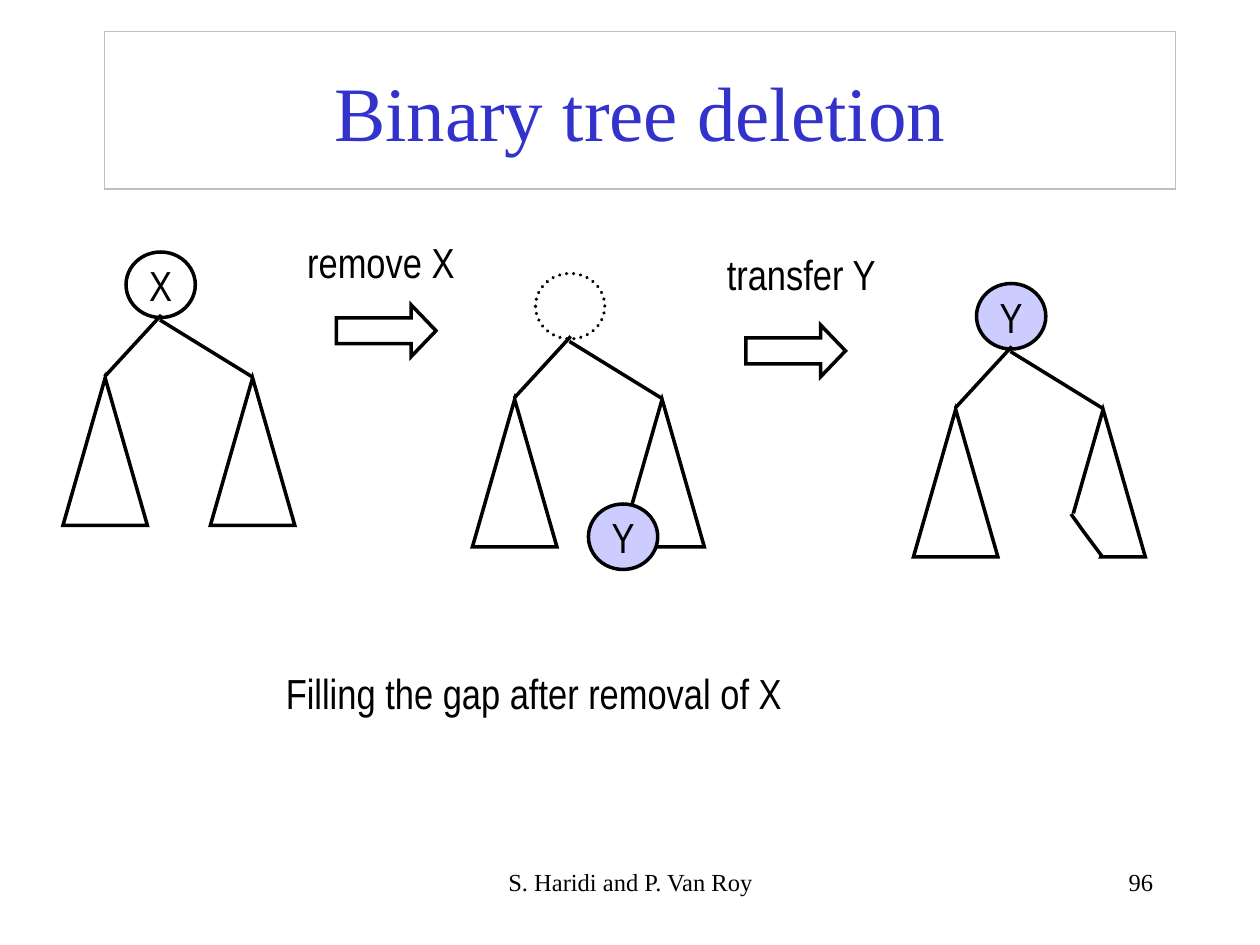
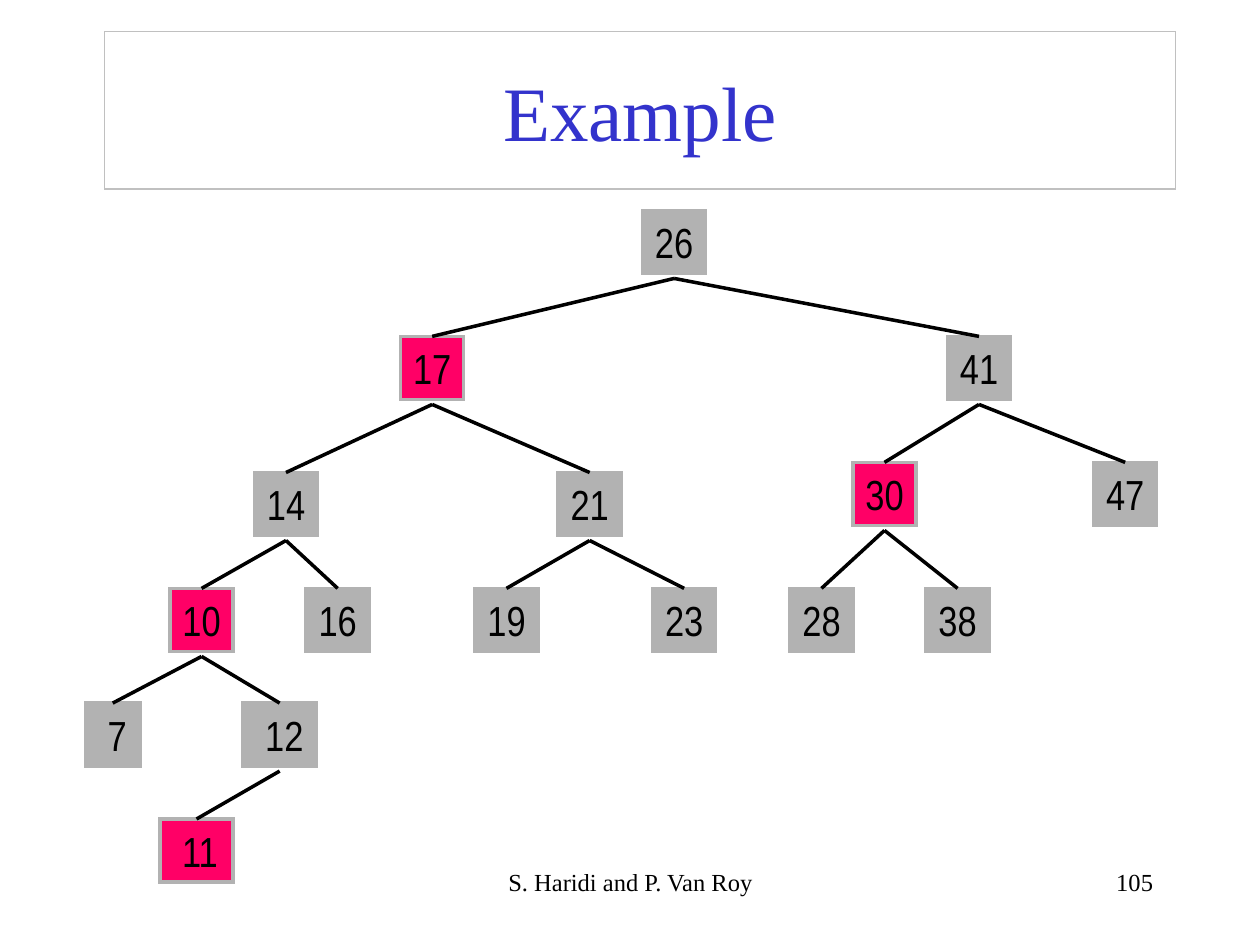
"""Build two slides on deleting nodes from a binary tree."""
from lxml.etree import SubElement
from pptx import Presentation
from pptx.dml.color import RGBColor
from pptx.enum.dml import MSO_LINE
from pptx.enum.shapes import MSO_CONNECTOR, MSO_SHAPE
from pptx.enum.text import MSO_ANCHOR, MSO_AUTO_SIZE, PP_ALIGN
from pptx.oxml.ns import qn
from pptx.util import Inches, Pt

COLOURS = {
    "title": "3333CC",
    "frame": "C0C0C0",
    "ink": "000000",
    "paper": "FFFFFF",
    "moved": "CCCCFF",
    "node": "B2B2B2",
    "marked": "FF0066",
}
FONTS = {
    "title": {"name": "Times New Roman", "size": Pt(44)},
    "label": {"name": "Arial Narrow", "size": Pt(24)},
    "footer": {"name": "Times New Roman", "size": Pt(14)},
}
FRAME = {
    "margin_left": Inches(0.1),
    "margin_right": Inches(0.1),
    "margin_top": Inches(0.05),
    "margin_bottom": Inches(0.05),
    "auto_size": MSO_AUTO_SIZE.NONE,
}
CENTRED = {"word_wrap": False, "vertical_anchor": MSO_ANCHOR.MIDDLE}
UNWRAPPED = {"word_wrap": False, "vertical_anchor": MSO_ANCHOR.TOP}
WRAPPED = {"word_wrap": True, "vertical_anchor": MSO_ANCHOR.TOP}

TITLE_BOX = (0.83, 0.25, 8.5, 1.25)
AUTHORS = "S. Haridi and P. Van Roy"
AUTHORS_BOX = (3.42, 6.83, 3.17, 0.5)
NUMBER_BOX = (7.17, 6.83, 2.08, 0.5)

DELETION_STEPS = [
    {"origin": (0.5, 2), "root": "X", "fill": None},
    {"origin": (3.75, 2.17), "root": "", "fill": None, "dash": MSO_LINE.ROUND_DOT},
    {"origin": (7.25, 2.25), "root": "Y", "fill": "moved"},
]
CIRCLE = (0.55, 0.52)
SUBTREE = (0.67, 1.17)
SUBTREE_OFFSETS = [(0, 1), (1.17, 1)]
BRANCHES = [((0.33, 0.99), (0.78, 0.5)), ((1.5, 0.99), (0.77, 0.54))]
STEP_ARROWS = [(2.67, 2.42), (5.92, 2.58)]
CAPTIONS = [
    ("remove X", (2.34, 1.83, 1.37, 0.5)),
    ("transfer Y", (5.67, 1.92, 1.38, 0.5)),
    ("Filling the gap after removal of X", (2.17, 5.25, 4.13, 0.5)),
]
Y_BEFORE_TRANSFER = (4.67, 4)
Y_GAP = (8.17, 4.08)
CUT_EDGE = [(8.5, 4.08), (8.6, 4.22), (8.75, 4.42)]

NODE_SIZE = 0.5
EDGE_GAP = 0.04
NODES = {
    "26": (5.1, 1.67), "17": (3.18, 2.67), "41": (7.52, 2.67),
    "14": (2.02, 3.75), "21": (4.43, 3.75), "30": (6.77, 3.67),
    "47": (8.68, 3.67), "10": (1.35, 4.67), "16": (2.43, 4.67),
    "19": (3.77, 4.67), "23": (5.18, 4.67), "28": (6.27, 4.67),
    "38": (7.35, 4.67), " 7": (0.68, 5.58), " 12": (1.93, 5.58),
    " 11": (1.27, 6.5),
}
NODE_WIDTHS = {" 7": 0.43, " 12": 0.58, " 11": 0.58}
MARKED_NODES = {"17", "30", "10", " 11"}
CHILDREN = {
    "26": ["17", "41"], "17": ["14", "21"], "41": ["30", "47"],
    "14": ["10", "16"], "21": ["19", "23"], "30": ["28", "38"],
    "10": [" 7", " 12"], " 12": [" 11"],
}


def colour(name):
    return RGBColor.from_string(COLOURS[name])


def inches(values):
    return [Inches(value) for value in values]


def apply_format(target, values):
    for name, value in values.items():
        setattr(target, name, value)


def write(shape, text, font="label", ink="ink", align=PP_ALIGN.LEFT, frame=UNWRAPPED):
    text_frame = shape.text_frame
    apply_format(text_frame, FRAME | frame)
    text_frame.text = text
    paragraph = text_frame.paragraphs[0]
    paragraph.alignment = align
    run_font = paragraph.runs[0].font
    apply_format(run_font, FONTS[font])
    run_font.color.rgb = colour(ink)


def style_line(shape, name="ink", width=2):
    shape.line.color.rgb = colour(name)
    shape.line.width = Pt(width)
    outline = shape._element.spPr.find(qn("a:ln"))
    SubElement(outline, qn("a:miter"), lim="800000")


def style_shape(shape, fill=None, line="ink"):
    if fill:
        shape.fill.solid()
        shape.fill.fore_color.rgb = colour(fill)
    else:
        shape.fill.background()
    style_line(shape, line)
    shape.shadow.inherit = False
    return shape


def add_figure(slide, kind, place, size, fill=None, line="ink"):
    shape = slide.shapes.add_shape(kind, *inches((*place, *size)))
    return style_shape(shape, fill, line)


def add_circle(slide, place, text="", fill=None, line="ink"):
    circle = add_figure(slide, MSO_SHAPE.OVAL, place, CIRCLE, fill, line)
    if text:
        write(circle, text, align=PP_ALIGN.CENTER, frame=CENTRED)
    return circle


def add_line(slide, start, end):
    connector = slide.shapes.add_connector(
        MSO_CONNECTOR.STRAIGHT, *inches((*start, *end)))
    style_line(connector)
    SubElement(connector._element.spPr, qn("a:effectLst"))
    return connector


def add_text(slide, text, box, **options):
    write(slide.shapes.add_textbox(*inches(box)), text, **options)


def add_titled_slide(presentation, heading, number):
    slide = presentation.slides.add_slide(presentation.slide_layouts[5])
    title = slide.shapes.title
    apply_format(title, dict(zip(("left", "top", "width", "height"), inches(TITLE_BOX))))
    write(title, heading, "title", "title", PP_ALIGN.CENTER,
          CENTRED | {"word_wrap": True})
    style_line(title, "frame", 0.75)
    for text, box, align in ((AUTHORS, AUTHORS_BOX, PP_ALIGN.CENTER),
                             (number, NUMBER_BOX, PP_ALIGN.RIGHT)):
        add_text(slide, text, box, font="footer", align=align, frame=WRAPPED)
    return slide


def add_step_tree(slide, step):
    def place(offset):
        return tuple(base + shift for base, shift in zip(step["origin"], offset))

    root = add_circle(slide, place((0.5, 0)), step["root"], step["fill"])
    if "dash" in step:
        root.line.dash_style = step["dash"]
        root._element.spPr.find(qn("a:ln")).set("cap", "rnd")
    for offset in SUBTREE_OFFSETS:
        add_figure(slide, MSO_SHAPE.ISOSCELES_TRIANGLE, place(offset), SUBTREE)
    for start, end in BRANCHES:
        add_line(slide, place(start), place(end))


def build_deletion(presentation):
    slide = add_titled_slide(presentation, "Binary tree deletion", "96")
    for step in DELETION_STEPS:
        add_step_tree(slide, step)
    for place in STEP_ARROWS:
        arrow = add_figure(slide, MSO_SHAPE.RIGHT_ARROW, place, (0.79, 0.41))
        arrow.adjustments[1] = 0.48
    add_circle(slide, Y_BEFORE_TRANSFER, "Y", "moved")
    add_circle(slide, Y_GAP, fill="paper", line="paper")
    start, *rest = [inches(point) for point in CUT_EDGE]
    builder = slide.shapes.build_freeform(*start)
    builder.add_line_segments(rest, close=False)
    style_shape(builder.convert_to_shape())
    for text, box in CAPTIONS:
        add_text(slide, text, box)


def build_example(presentation):
    slide = add_titled_slide(presentation, "Example", "105")
    boxes = {}
    for value, place in NODES.items():
        size = (NODE_WIDTHS.get(value, NODE_SIZE), NODE_SIZE)
        fill = "marked" if value in MARKED_NODES else "node"
        boxes[value] = add_figure(slide, MSO_SHAPE.RECTANGLE, place, size, fill, "node")
        write(boxes[value], value)
    for parent, children in CHILDREN.items():
        left, top = NODES[parent]
        start = (left + NODE_WIDTHS.get(parent, NODE_SIZE) / 2,
                 top + NODE_SIZE + EDGE_GAP)
        for child in children:
            edge = add_line(slide, start, NODES[child])
            edge.end_connect(boxes[child], 0)


def main():
    presentation = Presentation()
    apply_format(presentation, {"slide_width": Inches(10), "slide_height": Inches(7.5)})
    build_deletion(presentation)
    build_example(presentation)
    presentation.save("out.pptx")


if __name__ == "__main__":
    main()
